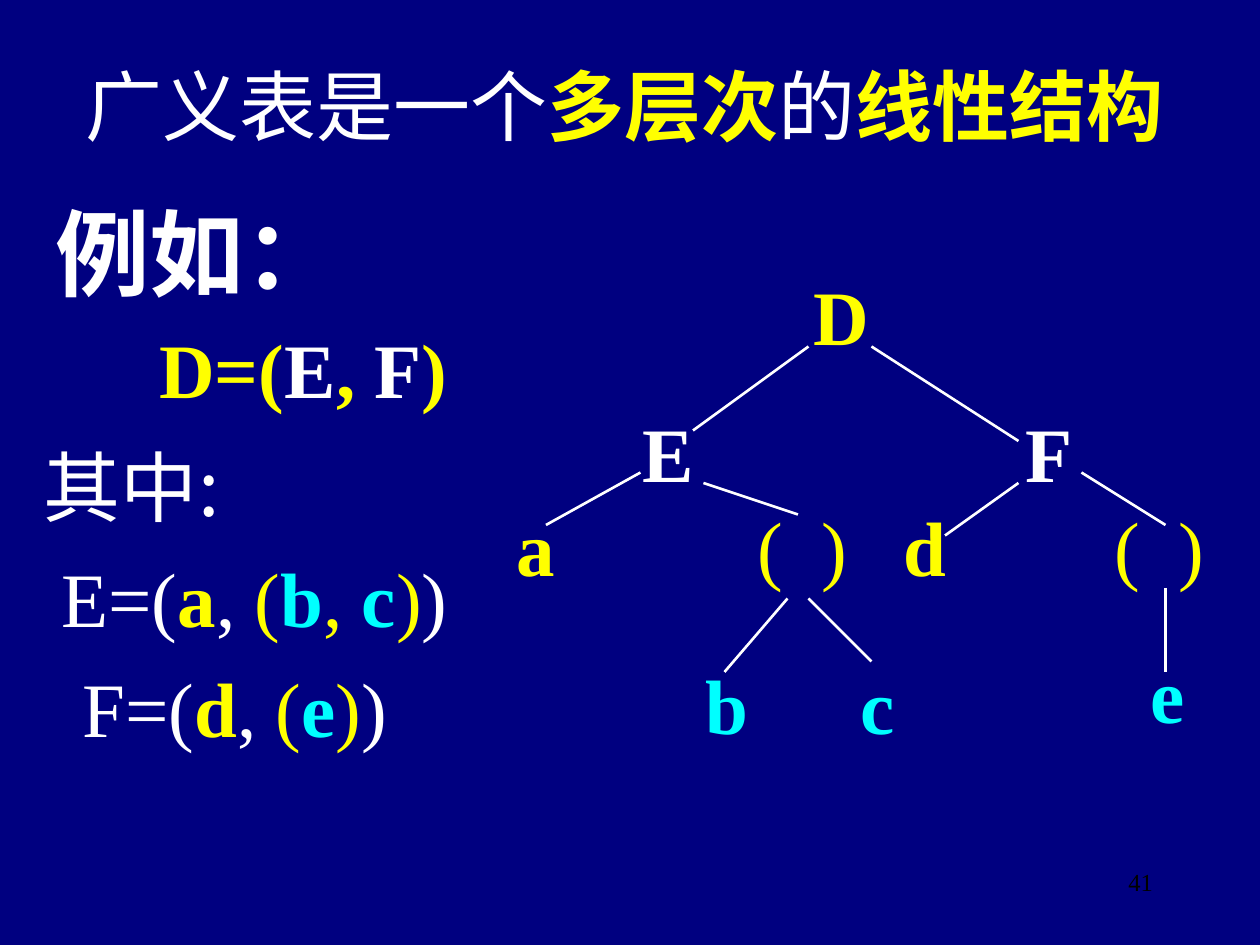
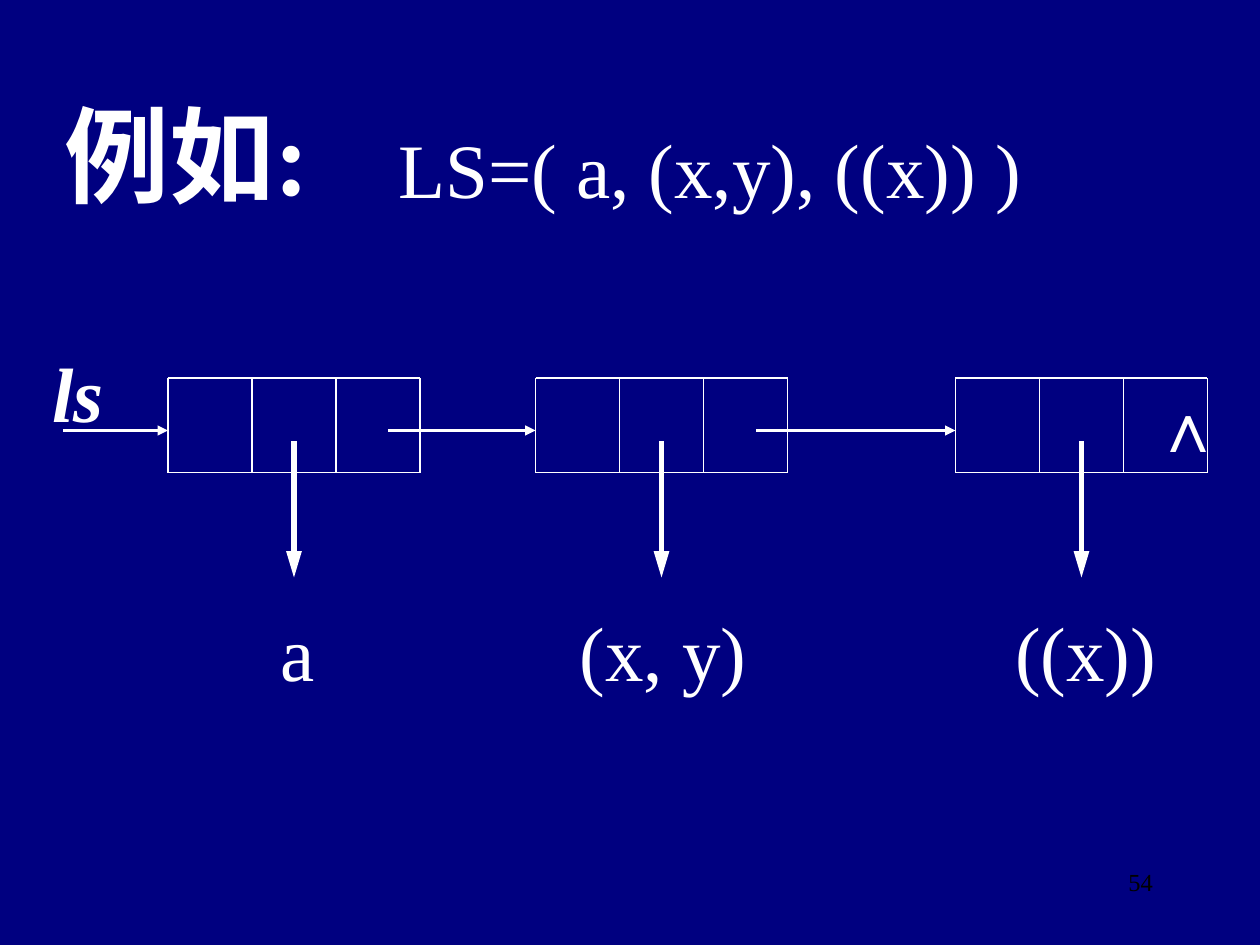
"""Builds two slides on generalized lists: a tree view and a linked node view."""
from lxml.etree import SubElement
from pptx import Presentation
from pptx.dml.color import RGBColor
from pptx.enum.shapes import MSO_CONNECTOR
from pptx.enum.text import MSO_ANCHOR, MSO_AUTO_SIZE, PP_ALIGN
from pptx.oxml.ns import qn
from pptx.util import Pt

COLORS = {"navy": "000080", "white": "FFFFFF", "yellow": "FFFF00", "cyan": "00FFFF", "black": "000000"}
LATIN, CHINESE, SANS = "Times New Roman", "Noto Sans CJK SC", "Arial"
BODY_SIZE, BODY_HEIGHT = 44, 60.5

TREE_TITLE = [("广义表是一个", "white", False), ("多层次", "yellow", True),
              ("的", "white", False), ("线性结构", "yellow", True)]
EXAMPLE = [("例如：", "white", True)]
LIST_D = [("D=(", "yellow", True), ("E", "white", True), (", ", "yellow", True),
          ("F", "white", True), (")", "yellow", True)]
LIST_E = [("E=(", "white", False), ("a", "yellow", True), (", ", "white", False),
          ("(", "yellow", False), ("b", "cyan", True), (", ", "yellow", False),
          ("c", "cyan", True), (")", "yellow", False), (")", "white", False)]
LIST_F = [("F=(", "white", False), ("d", "yellow", True), (", ", "white", False),
          ("(", "yellow", False), ("e", "cyan", True), (")", "yellow", False),
          (")", "white", False)]
WHERE = [("其中:", "white", False)]
DEFINITION_INDENTS = (0, 10, 22)

TREE_NODES = [
    ("D", "yellow", True, 458, 150, 47), ("E", "white", True, 360, 228, 45),
    ("F", "white", True, 579, 228, 42), ("a", "yellow", True, 288, 282, 37),
    ("(  )", "yellow", False, 426, 282, 67), ("d", "yellow", True, 509, 282, 40),
    ("(  )", "yellow", False, 630, 282, 67), ("b", "cyan", True, 396, 372, 40),
    ("c", "cyan", True, 484.5, 372, 35), ("e", "cyan", True, 650.5, 366, 35),
]
TREE_EDGES = [
    (462, 198, 396, 246), (498, 198, 582, 252), (366, 270, 312, 300),
    (402, 276, 456, 294), (450, 342, 414, 384), (462, 342, 498, 378),
    (582, 276, 540, 306), (618, 270, 666, 300), (666, 336, 666, 384),
]

LINKED_TITLE = [("例如:", "white", True)]
FORMULA = "LS=( a, (x,y), ((x)) )"
LIST_NODES = [(96, "a", 153, 45), (306, "(x, y)", 324, 112), (546, "((x))", 573, 118)]
CELL_WIDTH, CELL_COUNT = 48, 3
NODE_TOP, NODE_BOTTOM, LINK_Y = 216, 270, 246
POINTER_START, POINTER_END, LABEL_TOP = 252, 330, 342
HEAD_START = 36


def write_paragraph(para, spans, size=BODY_SIZE, font=LATIN, italic=False):
    """Add coloured spans to a paragraph."""
    for text, color, bold in spans:
        span = para.add_run()
        span.text = text
        formats = {"name": font, "size": Pt(size), "bold": bold, "italic": italic}
        for name, value in formats.items():
            setattr(span.font, name, value)
        span.font.color.rgb = RGBColor.from_string(COLORS[color])
        SubElement(span._r.find(qn("a:rPr")), qn("a:ea"), typeface=CHINESE)


def set_frame(box, left, top, width, height, wrap=False):
    """Place a box and give its text frame the shared format."""
    for name, value in zip(("left", "top", "width", "height"), (left, top, width, height)):
        setattr(box, name, Pt(value))
    formats = {"word_wrap": wrap, "auto_size": MSO_AUTO_SIZE.NONE if wrap else MSO_AUTO_SIZE.SHAPE_TO_FIT_TEXT,
               "vertical_anchor": MSO_ANCHOR.TOP}
    for name, value in formats.items():
        setattr(box.text_frame, name, value)
    return box.text_frame


def add_text(page, spans, left, top, width, height=BODY_HEIGHT, **formats):
    """Add a one-line text box."""
    frame = set_frame(page.shapes.add_textbox(0, 0, 0, 0), left, top, width, height)
    write_paragraph(frame.paragraphs[0], spans, **formats)


def add_line(page, start_x, start_y, end_x, end_y, weight=1.5, arrow_length=None):
    """Add a white line, with an arrowhead if a length is given."""
    line = page.shapes.add_connector(MSO_CONNECTOR.STRAIGHT, Pt(start_x), Pt(start_y), Pt(end_x), Pt(end_y))
    line.line.color.rgb = RGBColor.from_string(COLORS["white"])
    line.line.width = Pt(weight)
    properties = line._element.spPr
    if arrow_length:
        SubElement(properties.find(qn("a:ln")), qn("a:tailEnd"), type="triangle", len=arrow_length)
    SubElement(properties, qn("a:effectLst"))


def add_page(deck, number, title, title_area, title_size):
    """Add a slide with its title and page number."""
    page = deck.slides.add_slide(deck.slide_layouts[5])
    title_para = set_frame(page.shapes.title, *title_area).paragraphs[0]
    title_para.alignment = PP_ALIGN.LEFT
    write_paragraph(title_para, title, title_size)
    number_frame = set_frame(page.shapes.add_textbox(0, 0, 0, 0), 516, 492, 150, 36, wrap=True)
    number_frame.paragraphs[0].alignment = PP_ALIGN.RIGHT
    write_paragraph(number_frame.paragraphs[0], [(number, "black", False)], 14)
    return page


def build_tree_page(deck):
    """Show a generalized list as a tree."""
    page = add_page(deck, "41", TREE_TITLE, (41.5, 30, 640, BODY_HEIGHT), 44)
    add_text(page, EXAMPLE, 24.5, 108, 180, 72, size=54)
    add_text(page, LIST_D, 84, 180, 184)
    frame = set_frame(page.shapes.add_textbox(0, 0, 0, 0), 18, 237, 262, 197)
    for index, (spans, indent) in enumerate(zip((WHERE, LIST_E, LIST_F), DEFINITION_INDENTS)):
        para = frame.add_paragraph() if index else frame.paragraphs[0]
        para.line_spacing = 1.2
        para._p.get_or_add_pPr().set("marL", str(Pt(indent)))
        write_paragraph(para, spans, font=CHINESE if spans is WHERE else LATIN)
    for text, color, bold, left, top, width in TREE_NODES:
        add_text(page, [(text, color, bold)], left, top, width)
    for edge in TREE_EDGES:
        add_line(page, *edge)


def build_linked_page(deck):
    """Show a generalized list as linked nodes."""
    page = add_page(deck, "54", LINKED_TITLE, (29.5, 48, 174, 79), 60)
    add_text(page, [(FORMULA, "white", False)], 220.5, 66, 376)
    node_width = CELL_WIDTH * CELL_COUNT
    link_start = HEAD_START
    for left, label, label_left, label_width in LIST_NODES:
        for column in range(CELL_COUNT + 1):
            border = left + column * CELL_WIDTH
            add_line(page, border, NODE_TOP, border, NODE_BOTTOM, 0.75)
        for edge in (NODE_TOP, NODE_BOTTOM):
            add_line(page, left, edge, left + node_width, edge, 0.75)
        add_line(page, link_start, LINK_Y, left, LINK_Y, arrow_length="med")
        link_start = left + 126
        middle = left + node_width / 2
        add_line(page, middle, POINTER_START, middle, POINTER_END, 3, arrow_length="lg")
        add_text(page, [(label, "white", False)], label_left, LABEL_TOP, label_width)
    add_text(page, [("∧", "white", False)], 652, 215, 27.5, 55.5, size=40, font=SANS)
    add_text(page, [("ls", "white", True)], 23, 194, 45, italic=True)


def main():
    """Build and save the deck."""
    deck = Presentation()
    deck.slide_width, deck.slide_height = Pt(720), Pt(540)
    fill = deck.slide_master.background.fill
    fill.solid()
    fill.fore_color.rgb = RGBColor.from_string(COLORS["navy"])
    build_tree_page(deck)
    build_linked_page(deck)
    deck.save("out.pptx")


if __name__ == "__main__":
    main()
